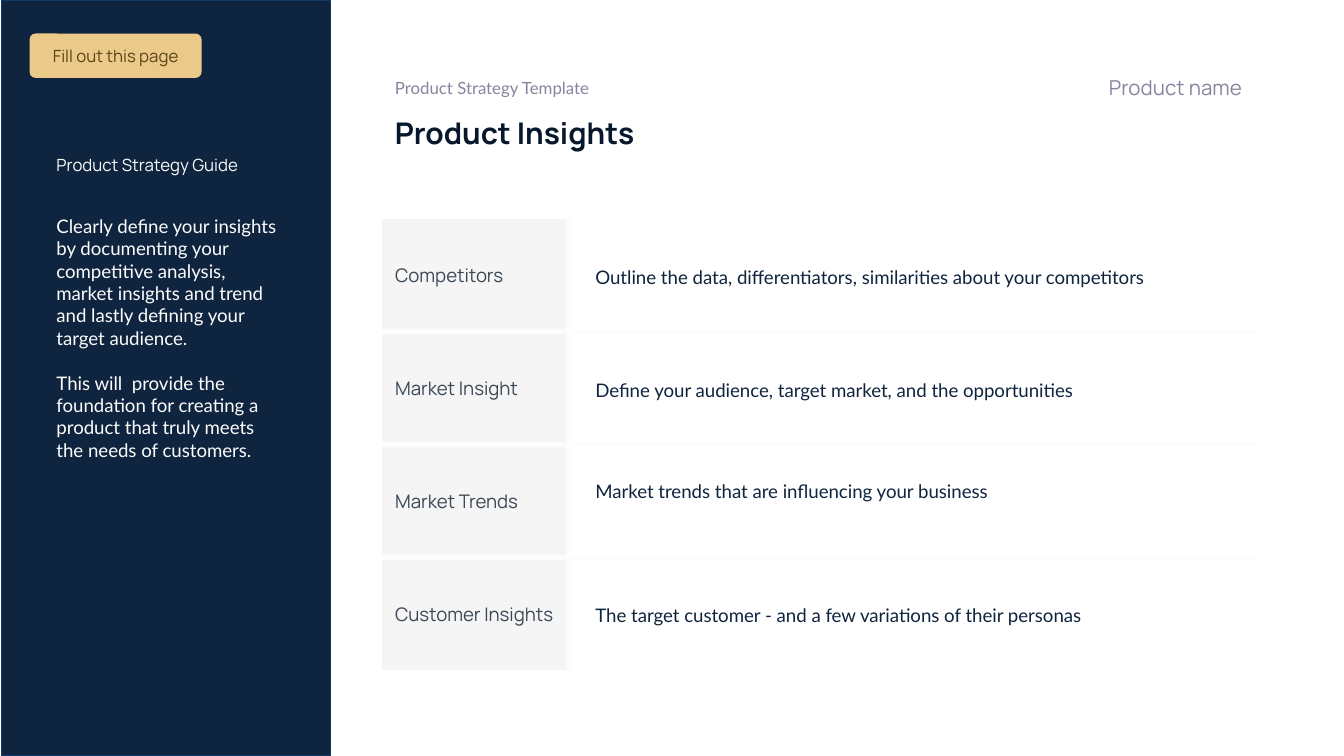
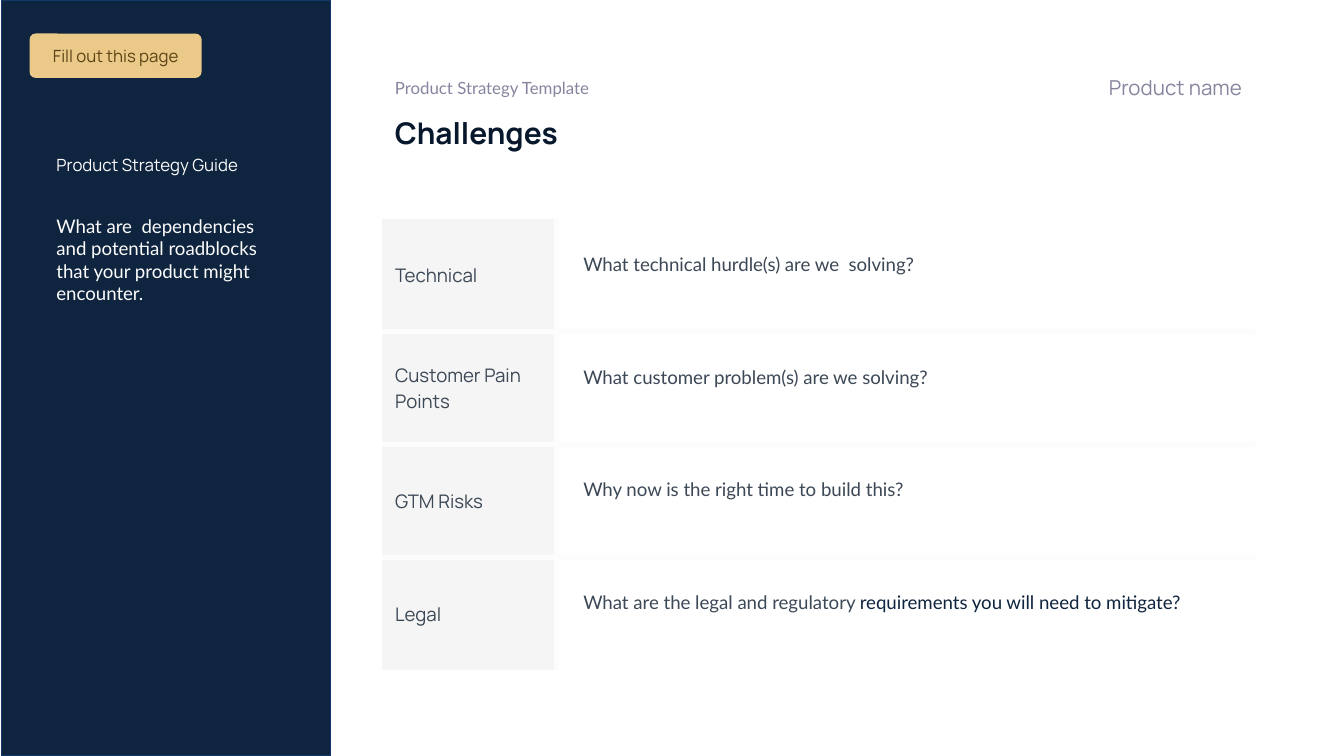
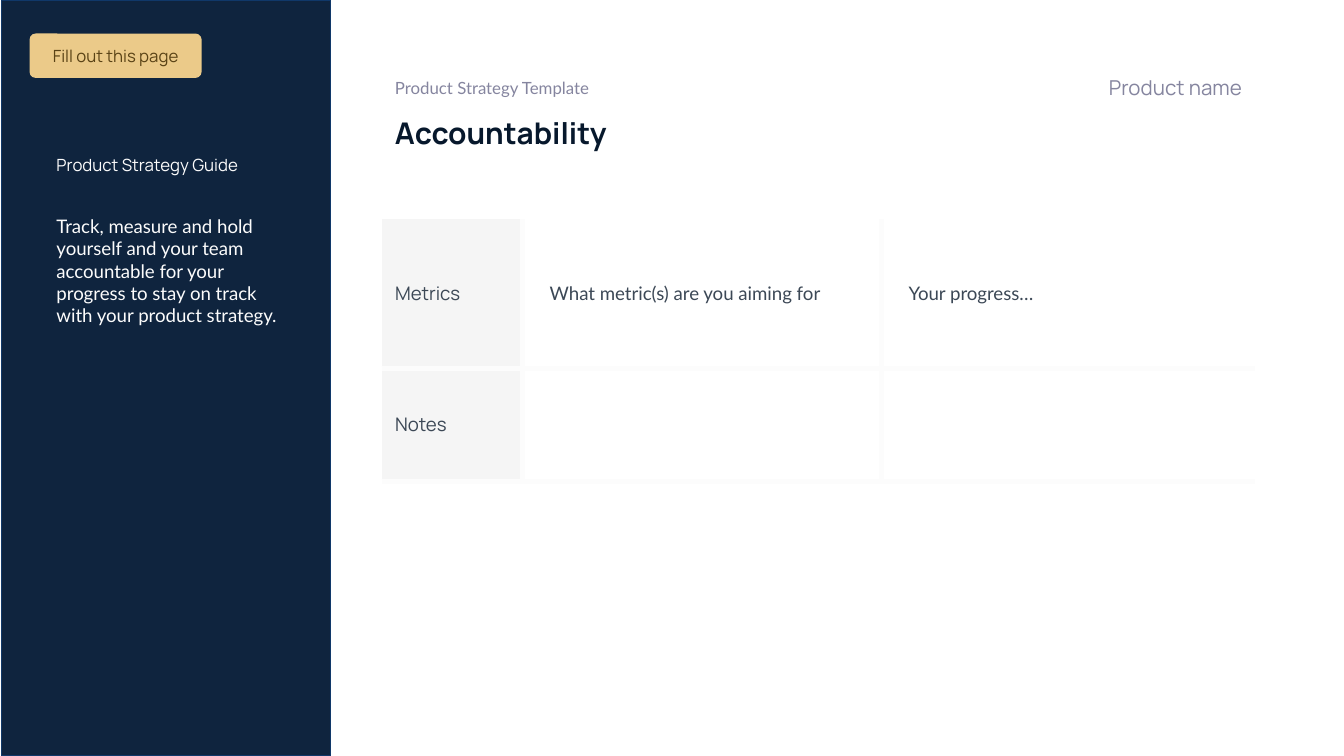
import pptx
import pptx.dml.color
import pptx.enum.shapes
import pptx.enum.text
import pptx.oxml
import pptx.oxml.ns
import pptx.util

Inches = pptx.util.Inches
Pt = pptx.util.Pt
ALIGN = pptx.enum.text.PP_ALIGN
ANCHOR = pptx.enum.text.MSO_ANCHOR
SHAPES = pptx.enum.shapes.MSO_SHAPE

NAVY, NAVY_EDGE, INK = "0F243E", "103869", "07182C"
SLATE, MUTED = "3C4856", "85859F"
LABEL_FILL, OFF_WHITE = "F5F5F5", "FCFCFC"
GOLD, BROWN = "EBCA89", "5A4316"
HEADING_FONT, BODY_FONT = "Manrope", "Lato"

SLIDE_WIDTH = 10
SLIDE_HEIGHT = SLIDE_WIDTH * 9 / 16
SIDEBAR_BOX = (0.01, 0, 2.45, SLIDE_HEIGHT)
HEADER_BOX = (2.84, 0.46, 6.5, 0.76)
CONTENT_CORNER = (2.84, 1.63)
RAISED = 0.27  # bottom inset that lifts a middle-anchored line above centre


def rgb(hex_string):
    return pptx.dml.color.RGBColor.from_string(hex_string)


def set_insets(target, left=0.1, top=0.1, right=0.1, bottom=0.1):
    """Set the margins of a text frame or a table cell."""
    target.margin_left, target.margin_top = Inches(left), Inches(top)
    target.margin_right, target.margin_bottom = Inches(right), Inches(bottom)


def format_paragraph(paragraph, size, font, colour, bold=False, align=ALIGN.LEFT):
    paragraph.alignment = align
    for run in paragraph.runs:
        run.font.size = Pt(size)
        run.font.name = font
        run.font.bold = bold
        run.font.color.rgb = rgb(colour)


def add_label(slide, box, text, size, font, colour, bold=False,
              align=ALIGN.LEFT, anchor=ANCHOR.TOP, bottom=0.1):
    frame = slide.shapes.add_textbox(*map(Inches, box)).text_frame
    frame.word_wrap = True
    frame.vertical_anchor = anchor
    set_insets(frame, bottom=bottom)
    frame.text = text
    format_paragraph(frame.paragraphs[0], size, font, colour, bold, align)


def add_panel(slide, kind, box, fill):
    shape = slide.shapes.add_shape(kind, *map(Inches, box))
    shape.shadow.inherit = False
    shape.fill.solid()
    shape.fill.fore_color.rgb = rgb(fill)
    shape.line.fill.background()
    return shape


def set_borders(cell, sides):
    """Draw 3 pt rules on the named sides (of L, R, T, B) and clear the others."""
    properties = cell._tc.get_or_add_tcPr()
    for side in "LRTB":
        paint = (f'<a:solidFill><a:srgbClr val="{OFF_WHITE}"/></a:solidFill>'
                 if side in sides else "<a:noFill/>")
        properties.append(pptx.oxml.parse_xml(
            f'<a:ln{side} {pptx.oxml.ns.nsdecls("a")} w="{Pt(3)}">{paint}</a:ln{side}>'))


def add_plain_table(slide, corner, columns, rows):
    frame = slide.shapes.add_table(
        len(rows), len(columns), *map(Inches, (*corner, sum(columns), sum(rows))))
    table = frame.table
    table.first_row = table.horz_banding = False
    for column, width in zip(table.columns, columns):
        column.width = Inches(width)
    for row, height in zip(table.rows, rows):
        row.height = Inches(height)
    return table


def fill_cell(cell, colour):
    if colour:
        cell.fill.solid()
        cell.fill.fore_color.rgb = rgb(colour)
    else:
        cell.fill.background()


def add_sidebar(slide, box, guide):
    left, top, _, _ = box
    panel = add_panel(slide, SHAPES.RECTANGLE, box, NAVY)
    panel.line.color.rgb = rgb(NAVY_EDGE)
    panel.line.width = Pt(0.75)

    table = add_plain_table(slide, (left + 0.21, top + 0.42),
                            (0.62, 0.64, 0.81), (0.54, 0.54, 0.56, 0.56, 0.13))
    for cell in table.iter_cells():
        set_borders(cell, "")
        fill_cell(cell, NAVY)
    for first, last in ((0, 0), (1, 1), (2, 4)):
        table.cell(first, 0).merge(table.cell(last, 2))

    heading = table.cell(1, 0)
    heading.text_frame.text = "Product Strategy Guide"
    heading.vertical_anchor = ANCHOR.MIDDLE
    set_insets(heading, left=0.2, right=0.2)
    format_paragraph(heading.text_frame.paragraphs[0], 9, HEADING_FONT, OFF_WHITE)

    body = table.cell(2, 0)
    body.text_frame.text = "\n".join(guide)
    set_insets(body, left=0.2, right=0.17)
    for index, paragraph in enumerate(body.text_frame.paragraphs):
        if index:
            paragraph.space_before = Pt(12)
        format_paragraph(paragraph, 10, BODY_FONT, OFF_WHITE)


def add_fill_out_badge(slide, box):
    left, top, _, _ = box
    badge = add_panel(slide, SHAPES.ROUNDED_RECTANGLE,
                      (left + 0.21, top + 0.25, 1.28, 0.33), GOLD)
    badge.adjustments[0] = 0.136
    frame = badge.text_frame
    frame.word_wrap = True
    frame.vertical_anchor = ANCHOR.MIDDLE
    set_insets(frame)
    frame.text = "Fill out this page"
    format_paragraph(frame.paragraphs[0], 9, HEADING_FONT, BROWN, align=ALIGN.CENTER)


def add_header(slide, box, title):
    left, top, width, _ = box
    add_label(slide, (left, top + 0.29, 6.36, 0.47), title, 16, HEADING_FONT, INK, bold=True)
    add_label(slide, (left + width - 3.6, top, 3.6, 0.33), "Product name", 11, HEADING_FONT,
              MUTED, align=ALIGN.RIGHT, anchor=ANCHOR.BOTTOM, bottom=0.05)
    add_label(slide, (left, top + 0.04, 2.14, 0.27), "Product Strategy Template", 9,
              BODY_FONT, MUTED)


def inner_sides(row, column, row_count, column_count):
    """Name the sides of a cell that touch another cell."""
    touching = {"L": column > 0, "R": column < column_count - 1,
                "T": row > 0, "B": row < row_count - 1}
    return "".join(side for side, touches in touching.items() if touches)


def add_content_table(slide, corner, columns, rows, entries, colour=SLATE,
                      line_spacing=None, raised_rows=(), outer_sides=""):
    """Place a label column and its answers; an answer may be a list of (text, colour) runs."""
    table = add_plain_table(slide, corner, columns, rows)
    for row, texts in enumerate(entries):
        for column, text in enumerate(texts):
            cell = table.cell(row, column)
            is_label = column == 0
            set_borders(cell, inner_sides(row, column, len(rows), len(columns)) + outer_sides)
            fill_cell(cell, LABEL_FILL if is_label else None)
            cell.vertical_anchor = ANCHOR.MIDDLE
            raised = not is_label and row in raised_rows
            set_insets(cell, left=0.1 if is_label else 0.2, bottom=RAISED if raised else 0.1)
            paragraph = cell.text_frame.paragraphs[0]
            if is_label:
                paragraph.text = text
                format_paragraph(paragraph, 10, HEADING_FONT, SLATE)
                continue
            runs = [(text, colour)] if isinstance(text, str) else text
            for run_text, _ in runs:
                if run_text:
                    paragraph.add_run().text = run_text
            format_paragraph(paragraph, 10, BODY_FONT, colour)
            for run, (_, run_colour) in zip(paragraph.runs, runs):
                run.font.color.rgb = rgb(run_colour)
            if line_spacing:
                paragraph.line_spacing = line_spacing


def add_strategy_slide(presentation, title, guide, **content):
    slide = presentation.slides.add_slide(presentation.slide_layouts[6])
    add_header(slide, HEADER_BOX, title)
    add_sidebar(slide, SIDEBAR_BOX, guide)
    add_content_table(slide, CONTENT_CORNER, **content)
    add_fill_out_badge(slide, SIDEBAR_BOX)


def main():
    presentation = pptx.Presentation()
    presentation.slide_width = Inches(SLIDE_WIDTH)
    presentation.slide_height = Inches(SLIDE_HEIGHT)

    add_strategy_slide(
        presentation, "Product Insights",
        ["Clearly define your insights by documenting your competitive analysis, "
         "market insights and trend and lastly defining your target audience.",
         "This will  provide the  foundation for creating a product that truly meets "
         "the needs of customers."],
        columns=(1.39, 5.11), rows=(0.84,) * 4, colour=NAVY, line_spacing=1.15,
        raised_rows=(2,),
        entries=[
            ("Competitors",
             "Outline the data, differentiators, similarities about your competitors"),
            ("Market Insight", "Define your audience, target market, and the opportunities"),
            ("Market Trends", "Market trends that are influencing your business"),
            ("Customer Insights",
             "The target customer - and a few variations of their personas"),
        ])

    add_strategy_slide(
        presentation, "Challenges",
        ["What are  dependencies and potential roadblocks that your product might encounter."],
        columns=(1.3, 5.2), rows=(0.84,) * 4, raised_rows=range(4),
        entries=[
            ("Technical", "What technical hurdle(s) are we  solving?"),
            ("Customer Pain Points", "What customer problem(s) are we solving?"),
            ("GTM Risks", "Why now is the right time to build this?"),
            ("Legal", [("What are the legal and regulatory ", SLATE),
                       ("requirements you will need to mitigate?", NAVY)]),
        ])

    add_strategy_slide(
        presentation, "Accountability",
        ["Track, measure and hold yourself and your team accountable for your progress "
         "to stay on track with your product strategy."],
        columns=(1.05, 2.67, 2.78), rows=(1.11, 0.84), outer_sides="B",
        entries=[
            ("Metrics", "What metric(s) are you aiming for", "Your progress…"),
            ("Notes", "", ""),
        ])

    presentation.save("out.pptx")


if __name__ == "__main__":
    main()
